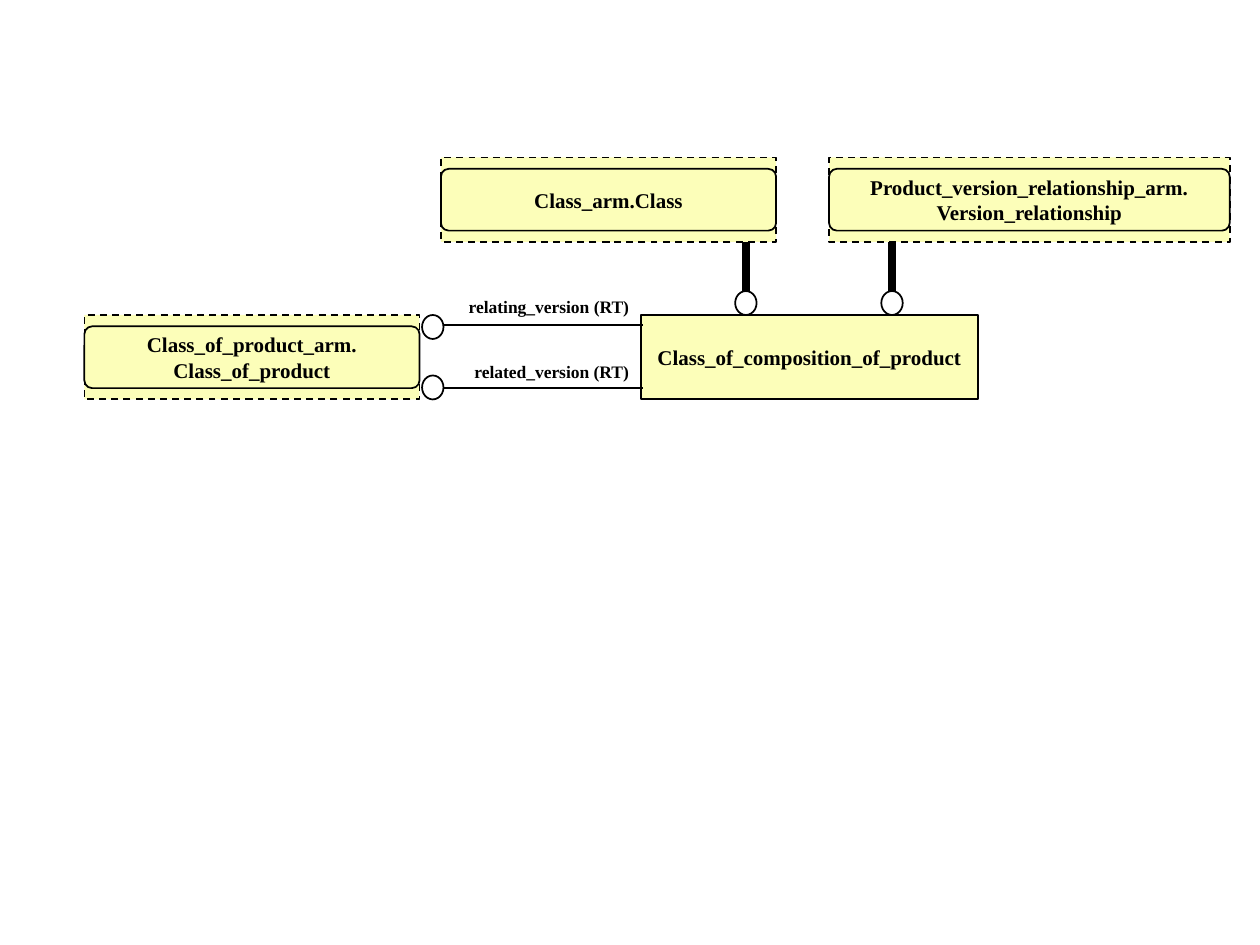
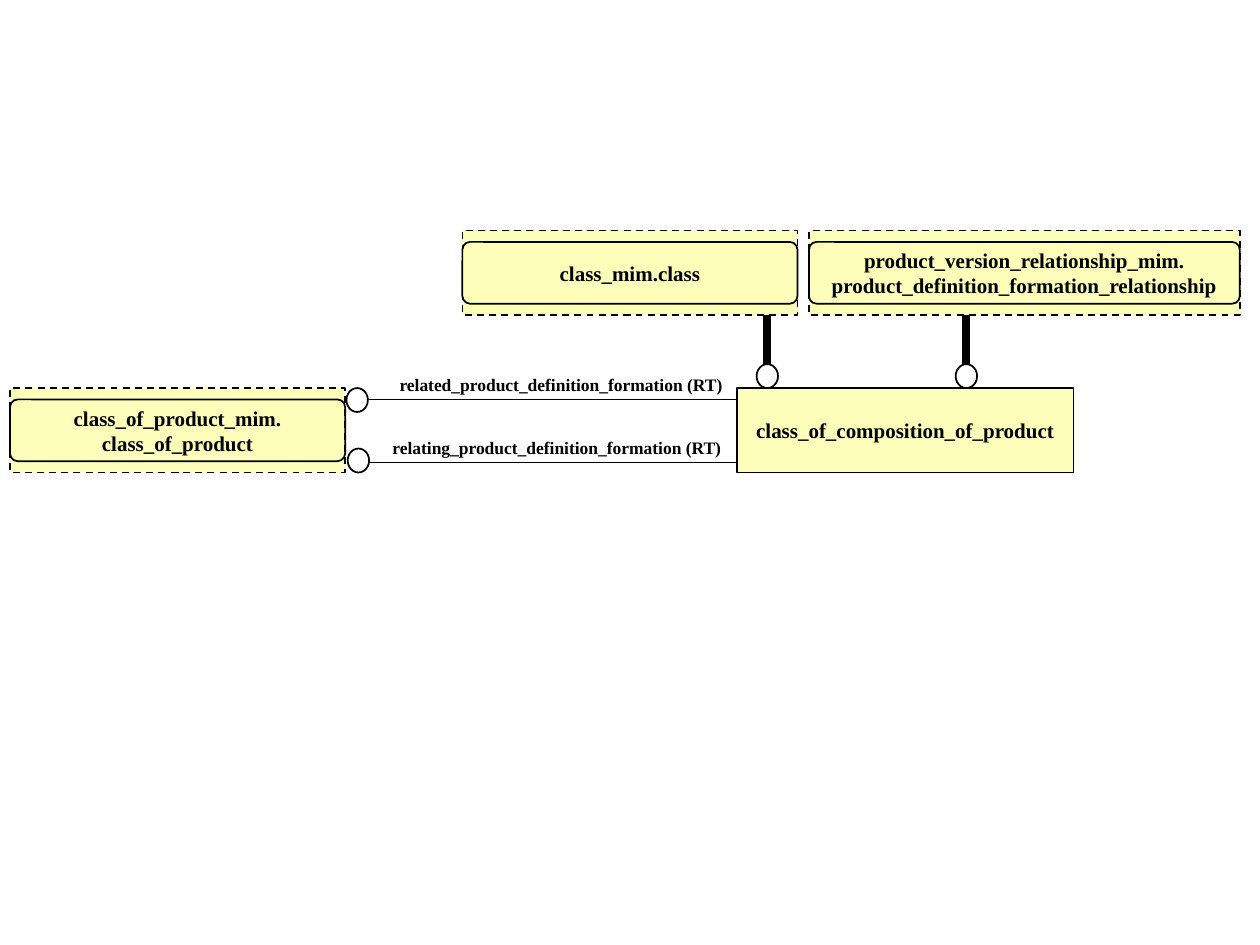
from pptx import Presentation
from pptx.dml.color import RGBColor
from pptx.enum.dml import MSO_LINE
from pptx.enum.shapes import MSO_CONNECTOR, MSO_SHAPE
from pptx.enum.text import MSO_ANCHOR, MSO_AUTO_SIZE, PP_ALIGN
from pptx.oxml.ns import qn
from pptx.util import Inches, Pt
from lxml import etree

BLACK = RGBColor(0x00, 0x00, 0x00)
WHITE = RGBColor(0xFF, 0xFF, 0xFF)
CREAM = RGBColor(0xFC, 0xFE, 0xB9)
FONT = "Times New Roman"
RECT, ROUND, OVAL = MSO_SHAPE.RECTANGLE, MSO_SHAPE.ROUNDED_RECTANGLE, MSO_SHAPE.OVAL
STRAIGHT = MSO_CONNECTOR.STRAIGHT
DASH = MSO_LINE.DASH
CENTER, RIGHT = PP_ALIGN.CENTER, PP_ALIGN.RIGHT
TOP, MIDDLE = MSO_ANCHOR.TOP, MSO_ANCHOR.MIDDLE
GROW = MSO_AUTO_SIZE.SHAPE_TO_FIT_TEXT

WIDE, HIGH = 2.66, 0.67
INSET = 0.09
DOT_W, DOT_H = 0.17, 0.19
LABEL_H = 0.27


def write(shape, lines, size=12, align=CENTER, anchor=MIDDLE, wrap=False):
    """Fill a shape with bold lines of text, one paragraph each."""
    frame = shape.text_frame
    frame.word_wrap = wrap
    frame.vertical_anchor = anchor
    for i, line in enumerate(lines):
        para = frame.paragraphs[0] if i == 0 else frame.add_paragraph()
        para.alignment = align
        run = para.add_run()
        run.text = line
        font = run.font
        font.name, font.size, font.bold = FONT, Pt(size), True
        font.color.rgb = BLACK


def add_form(shapes, kind, x, y, w, h, fill=None, dash=None):
    """Add a preset shape with a thin black outline."""
    form = shapes.add_shape(kind, Inches(x), Inches(y), Inches(w), Inches(h))
    form.shadow.inherit = False
    if fill is None:
        form.fill.background()
    else:
        form.fill.solid()
        form.fill.fore_color.rgb = fill
    form.line.color.rgb = BLACK
    form.line.width = Pt(1)
    if dash is not None:
        form.line.dash_style = dash
    return form


def add_rule(slide, x1, y1, x2, y2, width=1):
    """Add a straight black line."""
    rule = slide.shapes.add_connector(
        STRAIGHT, Inches(x1), Inches(y1), Inches(x2), Inches(y2))
    rule.line.color.rgb = BLACK
    rule.line.width = Pt(width)
    etree.SubElement(rule._element.spPr, qn("a:effectLst"))


def add_dot(slide, x, y):
    """Add the open circle that ends a relation."""
    add_form(slide.shapes, OVAL, x, y, DOT_W, DOT_H, fill=WHITE)


def add_entity(slide, x, y, *lines):
    """Add the solid box of the entity being defined."""
    write(add_form(slide.shapes, RECT, x, y, 2.67, HIGH, fill=CREAM), lines)


def add_foreign(slide, x, y, *lines, w=WIDE):
    """Add a dashed box with a rounded frame for an entity of another schema."""
    shapes = slide.shapes.add_group_shape().shapes
    write(add_form(shapes, RECT, x, y, w, HIGH, fill=CREAM, dash=DASH), lines)
    frame = add_form(shapes, ROUND, x, y + INSET, w, HIGH - 2 * INSET)
    frame.adjustments[0] = 0.125


def add_subtype(slide, x, top, base):
    """Add a thick bar from a supertype down to a circle on its subtype."""
    add_rule(slide, x, top, x, base - DOT_H, width=4.5)
    add_dot(slide, x - DOT_W / 2, base - DOT_H)


def add_label(slide, text, x, y, w, wrap):
    """Add the name of a relation above its line."""
    box = slide.shapes.add_textbox(Inches(x), Inches(y), Inches(w), Inches(LABEL_H))
    write(box, [text], size=10, align=RIGHT, anchor=TOP, wrap=wrap)
    box.text_frame.auto_size = GROW


def add_link(slide, start, end, y, dot, label):
    """Add a labelled relation line with a circle at its left end."""
    add_rule(slide, start, y, end, y)
    add_dot(slide, *dot)
    add_label(slide, *label)


def draw_arm(slide):
    """Draw the application model diagram."""
    top, mid = 1.25, 2.5
    add_foreign(slide, 0.67, mid, "Class_of_product_arm.", "Class_of_product")
    add_entity(slide, 5.09, mid, "Class_of_composition_of_product")
    add_foreign(slide, 3.5, top, "Class_arm.Class")
    add_foreign(slide, 6.58, top, "Product_version_relationship_arm.",
                "Version_relationship", w=3.18)
    for x in (5.92, 7.08):
        add_subtype(slide, x, top + HIGH, mid)
    add_link(slide, 3.51, 5.1, 2.58, (3.35, 2.5),
             ("relating_version (RT)", 2.62, 2.3, 2.47, True))
    add_link(slide, 3.51, 5.1, 3.08, (3.35, 2.98),
             ("related_version (RT)", 3.66, 2.82, 1.43, False))


def draw_mim(slide):
    """Draw the interpreted model diagram."""
    top, mid = 1.83, 3.08
    add_foreign(slide, 0.08, mid, "class_of_product_mim.", "class_of_product")
    add_entity(slide, 5.85, mid, "class_of_composition_of_product")
    add_foreign(slide, 6.42, top, "product_version_relationship_mim.",
                "product_definition_formation_relationship", w=3.42)
    add_foreign(slide, 3.67, top, "class_mim.class")
    for x in (6.09, 7.67):
        add_subtype(slide, x, top + HIGH, mid)
    add_link(slide, 2.92, 5.86, 3.17, (2.75, 3.08),
             ("related_product_definition_formation (RT)", 3, 2.92, 2.83, True))
    add_link(slide, 2.92, 5.86, 3.67, (2.76, 3.56),
             ("relating_product_definition_formation (RT)", 3.01, 3.42, 2.81, False))


def main():
    """Build both diagrams and save them."""
    deck = Presentation()
    deck.slide_width, deck.slide_height = Inches(10), Inches(7.5)
    for draw in (draw_arm, draw_mim):
        draw(deck.slides.add_slide(deck.slide_layouts[6]))
    deck.save("out.pptx")


if __name__ == "__main__":
    main()
